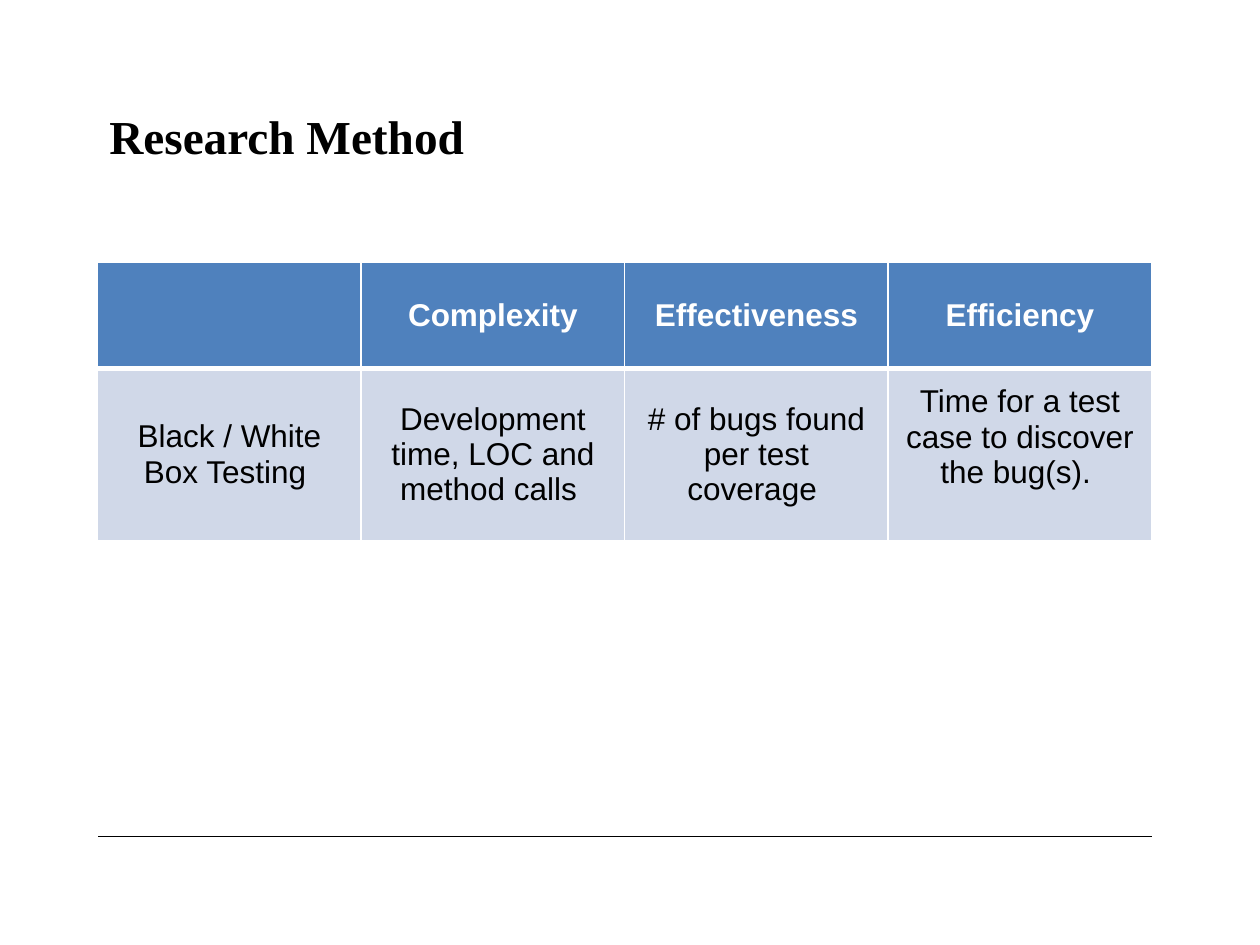
import pptx
import pptx.util
import pptx.dml.color
import pptx.enum.shapes
import pptx.enum.text
import pptx.oxml
import pptx.oxml.ns
import lxml.etree

Pt = pptx.util.Pt
ROWS = [
    ["", "Complexity", "Effectiveness", "Efficiency"],
    [
        "Black / White Box Testing ",
        "Development time, LOC and method calls ",
        "# of bugs found per test coverage ",
        "Time for a test case to discover the bug(s). ",
    ],
]
ROW_HEIGHTS = [60.5, 98.6]


def color(value):
    """Turn a hex string into a colour."""
    return pptx.dml.color.RGBColor.from_string(value)


def style_font(font, name, size, value, bold):
    """Set the face, size, colour and weight of a font."""
    font.name, font.size, font.bold = name, Pt(size), bold
    font.color.rgb = color(value)


def border_cell(cell, bottom_width):
    """Draw white borders around a cell."""
    properties = cell._tc.get_or_add_tcPr()
    widths = {"lnL": 1, "lnR": 1, "lnT": 1, "lnB": bottom_width}
    for side, width in widths.items():
        properties.append(pptx.oxml.parse_xml(
            f'<a:{side} {pptx.oxml.ns.nsdecls("a")} w="{Pt(width)}">'
            f'<a:solidFill><a:srgbClr val="FFFFFF"/></a:solidFill></a:{side}>'
        ))


def add_title(page, left, top, width, height):
    """Place the slide title."""
    box = page.shapes.add_textbox(Pt(left), Pt(top), Pt(width), Pt(height))
    box.text_frame.word_wrap = True
    para = box.text_frame.paragraphs[0]
    para.text = "Research Method"
    para.line_spacing = Pt(27)
    style_font(para.font, "Times New Roman", 27, "000000", True)


def add_measures_table(page, left, top, width):
    """Place the table of testing measures with equal columns."""
    columns = len(ROWS[0])
    table = page.shapes.add_table(
        len(ROWS), columns, Pt(left), Pt(top), Pt(width), Pt(sum(ROW_HEIGHTS))
    ).table
    for column in table.columns:
        column.width = Pt(width / columns)
    for index, texts in enumerate(ROWS):
        header = index == 0
        table.rows[index].height = Pt(ROW_HEIGHTS[index])
        for cell, text in zip(table.rows[index].cells, texts):
            border_cell(cell, 3 if header else 1)
            cell.fill.solid()
            cell.fill.fore_color.rgb = color("4F81BD" if header else "D0D8E8")
            cell.vertical_anchor = pptx.enum.text.MSO_ANCHOR.MIDDLE
            para = cell.text_frame.paragraphs[0]
            para.text = text
            para.alignment = pptx.enum.text.PP_ALIGN.CENTER
            style_font(para.font, "Arial", 18, "FFFFFF" if header else "000000", header)
    table.cell(1, columns - 1).margin_bottom = Pt(23.6)


def add_footer_rule(page, left, top, width):
    """Place the thin rule above the footer."""
    rule = page.shapes.add_connector(
        pptx.enum.shapes.MSO_CONNECTOR.STRAIGHT,
        Pt(left), Pt(top), Pt(left + width), Pt(top),
    )
    rule.line.color.rgb = color("000000")
    rule.line.width = Pt(0.5)
    lxml.etree.SubElement(rule._element.spPr, pptx.oxml.ns.qn("a:effectLst"))


def main():
    """Build the slide and save the deck."""
    deck = pptx.Presentation()
    deck.slide_width, deck.slide_height = Pt(720), Pt(540)
    page = deck.slides.add_slide(deck.slide_layouts[6])
    add_footer_rule(page, 56.2, 478.1, 601.9)
    add_title(page, 55.4, 63.4, 602, 59.8)
    add_measures_table(page, 55.8, 150, 602.4)
    deck.save("out.pptx")


if __name__ == "__main__":
    main()
